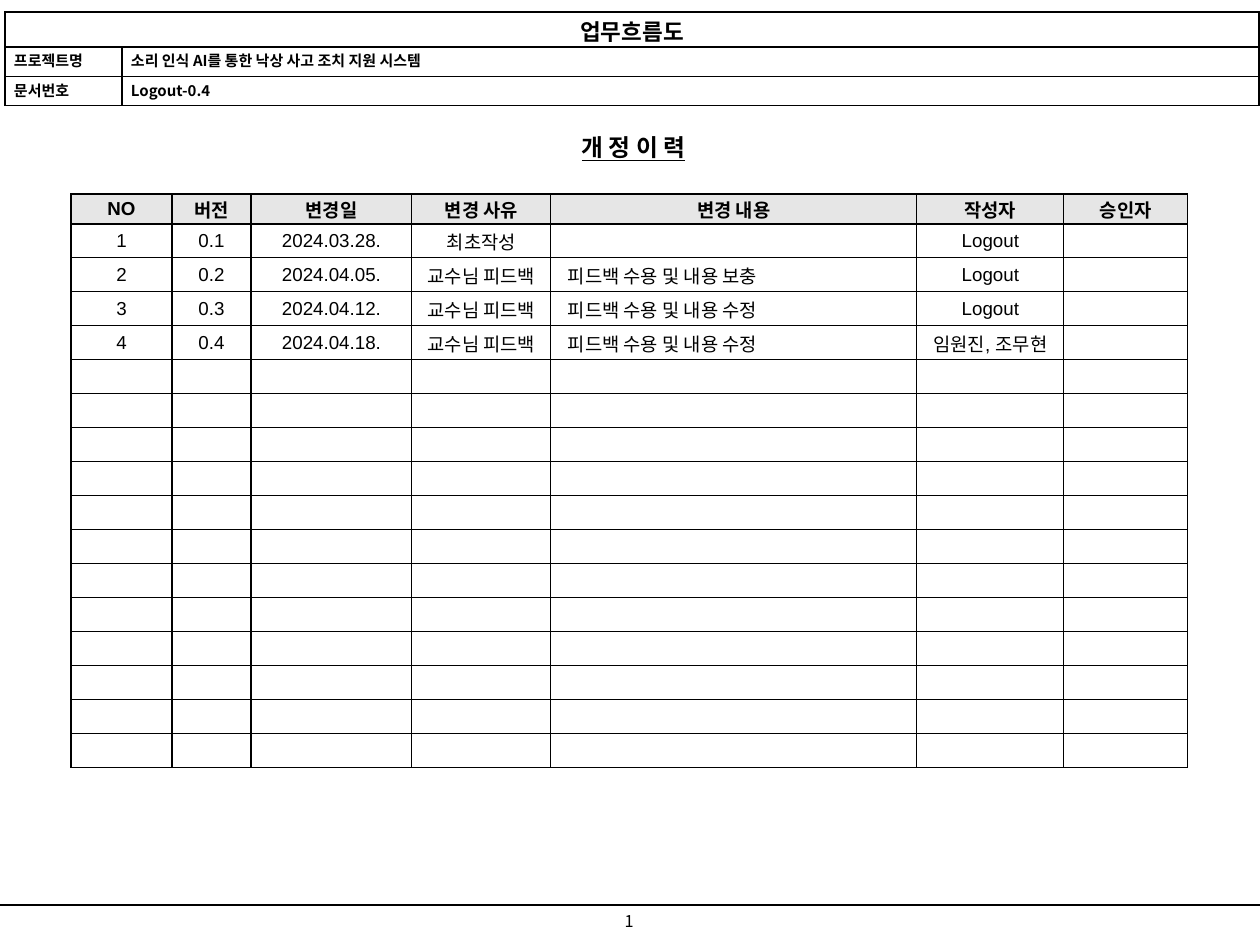
from lxml.etree import SubElement
from pptx import Presentation
from pptx.dml.color import RGBColor
from pptx.enum.shapes import MSO_CONNECTOR
from pptx.enum.text import MSO_ANCHOR, PP_ALIGN
from pptx.oxml.ns import qn
from pptx.util import Emu, Pt

PX = 10160
KOREAN = "Noto Sans CJK KR"


def write(frame, text, size, font, bold=False, align=PP_ALIGN.CENTER):
    frame.text = text
    paragraph = frame.paragraphs[0]
    paragraph.alignment = align
    for run in paragraph.runs:
        run.font.size = Pt(size)
        run.font.bold = bold
        run.font.name = font
        run.font.color.rgb = RGBColor.from_string("000000")
        SubElement(run._r.get_or_add_rPr(), qn("a:ea")).set("typeface", KOREAN)
    return paragraph


def style_cell(cell, fill, side, top):
    cell.margin_left = cell.margin_right = Emu(side * PX)
    cell.margin_top = cell.margin_bottom = Emu(top * PX)
    properties = cell._tc.get_or_add_tcPr()
    for edge in ("lnL", "lnR", "lnT", "lnB"):
        line = SubElement(properties, qn(f"a:{edge}"), w=str(Pt(1)))
        solid = SubElement(line, qn("a:solidFill"))
        SubElement(solid, qn("a:srgbClr"), val="000000")
    if fill:
        cell.fill.solid()
        cell.fill.fore_color.rgb = RGBColor.from_string(fill)
    else:
        cell.fill.background()


presentation = Presentation()
presentation.slide_width = Emu(1260 * PX)
presentation.slide_height = Emu(945 * PX)
slide = presentation.slides.add_slide(presentation.slide_layouts[6])

footer_line = slide.shapes.add_connector(
    MSO_CONNECTOR.STRAIGHT, 0, Emu(905 * PX), Emu(1260 * PX), Emu(905 * PX))
footer_line.line.width = Pt(1)
footer_line.line.color.rgb = RGBColor.from_string("000000")
SubElement(footer_line._element.spPr, qn("a:effectLst"))

labels = [
    ("1", 605, 905, 48, 32, 13, False, MSO_ANCHOR.TOP),
    ("개 정 이 력", 524, 126, 219, 42, 19, True, MSO_ANCHOR.MIDDLE),
]
for text, left, top, width, height, size, heading, anchor in labels:
    shape = slide.shapes.add_textbox(*(Emu(v * PX) for v in (left, top, width, height)))
    frame = shape.text_frame
    frame.word_wrap = heading
    frame.vertical_anchor = anchor
    frame.margin_left = frame.margin_right = Emu(12 * PX)
    frame.margin_top = frame.margin_bottom = Emu(6 * PX)
    paragraph = write(frame, text, size, KOREAN, heading)
    paragraph.runs[0].font.underline = heading

history = [
    ["NO", "버전", "변경일", "변경 사유", "변경 내용", "작성자", "승인자"],
    ["1", "0.1", "2024.03.28.", "최초작성", "", "Logout", ""],
    ["2", "0.2", "2024.04.05.", "교수님 피드백", "피드백 수용 및 내용 보충", "Logout", ""],
    ["3", "0.3", "2024.04.12.", "교수님 피드백", "피드백 수용 및 내용 수정", "Logout", ""],
    ["4", "0.4", "2024.04.18.", "교수님 피드백", "피드백 수용 및 내용 수정", "임원진, 조무현", ""],
] + [[""] * 7] * 12
history_widths = [101, 79, 161, 139, 366, 147, 124]
history_heights = [30] + [34] * 16

project = [
    ["업무흐름도", ""],
    ["프로젝트명", "소리 인식 AI를 통한 낙상 사고 조치 지원 시스템"],
    ["문서번호", "Logout-0.4"],
]
project_widths = [117, 1137]
project_heights = [35, 30, 29]

tables = []
for left, top, widths, heights in (
        (71, 194, history_widths, history_heights),
        (5, 12, project_widths, project_heights)):
    table = slide.shapes.add_table(
        len(heights), len(widths), Emu(left * PX), Emu(top * PX),
        Emu(sum(widths) * PX), Emu(sum(heights) * PX)).table
    table.first_row = table.horz_banding = False
    for column, width in zip(table.columns, widths):
        column.width = Emu(width * PX)
    for row, height in zip(table.rows, heights):
        row.height = Emu(height * PX)
    tables.append(table)
history_table, project_table = tables

for r, row in enumerate(history):
    for c, text in enumerate(row):
        cell = history_table.cell(r, c)
        header = r == 0
        style_cell(cell, "E6E6E6" if header else None, 8, 0)
        cell.vertical_anchor = MSO_ANCHOR.MIDDLE
        if text:
            left_aligned = c == 4 and not header
            align = PP_ALIGN.LEFT if left_aligned else PP_ALIGN.CENTER
            paragraph = write(cell.text_frame, text, 15, "Arial", header, align)
            properties = paragraph._p.get_or_add_pPr()
            properties.set("marL", str(55 * PX))
            properties.set("indent", str((-46 if left_aligned else -59) * PX))

for r, row in enumerate(project):
    for c, text in enumerate(row):
        cell = project_table.cell(r, c)
        style_cell(cell, "FFFFFF", 9, 2)
        if text:
            title = r == 0
            align = PP_ALIGN.CENTER if title else PP_ALIGN.LEFT
            write(cell.text_frame, text, 18 if title else 12, KOREAN, True, align)
project_table.cell(0, 0).merge(project_table.cell(0, 1))

presentation.save("out.pptx")
